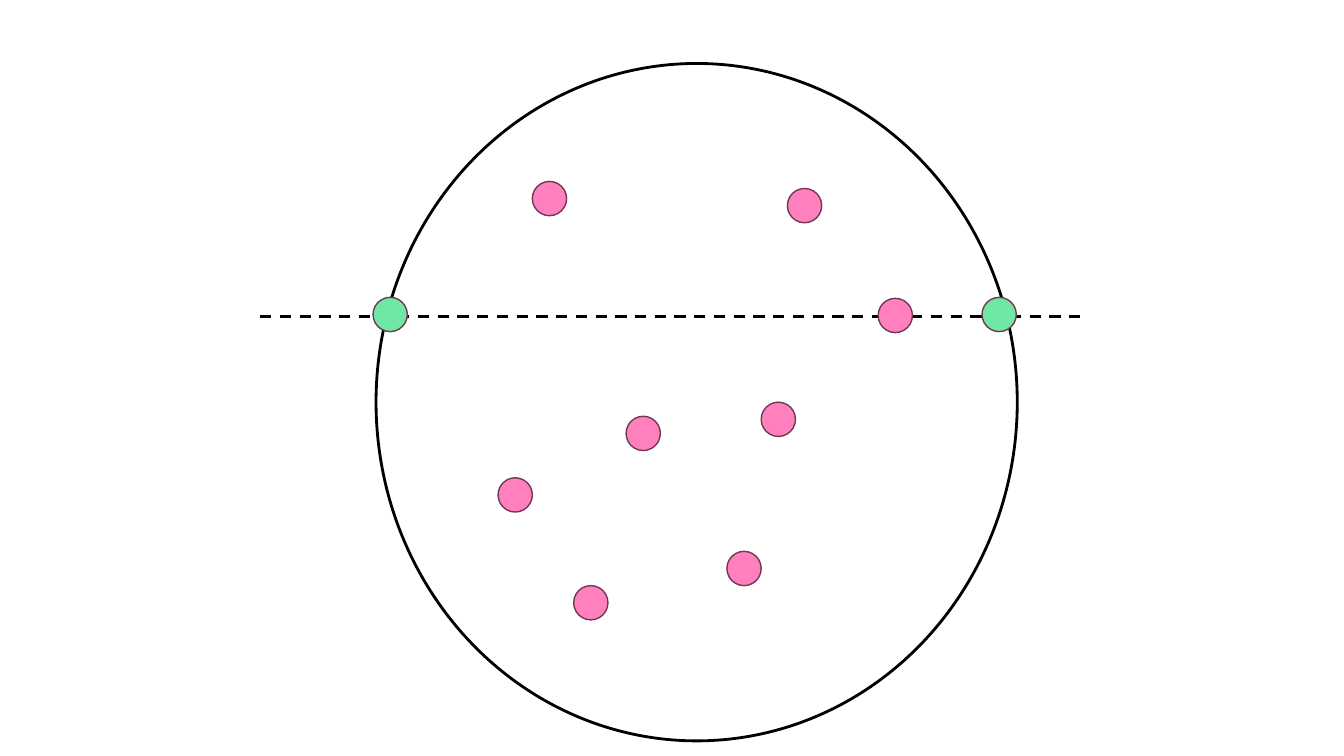
import dataclasses

import pptx
import pptx.dml.color
import pptx.enum.dml
import pptx.enum.shapes
import pptx.oxml
import pptx.oxml.ns
import pptx.util

Inches = pptx.util.Inches


@dataclasses.dataclass(frozen=True)
class Theme:
    """Colours, sizes and line formats of the slide."""

    ink: str = "000000"
    interior: str = "FF80BD"
    crossing: str = "6FE7A5"
    rim: str = "703853"
    point_size: float = 0.34
    bold_width: int = 2
    thin_width: int = 1


THEME = Theme()
INTERIOR_POINTS = [
    (1.55, 1.17), (4.08, 1.24), (4.98, 2.33), (3.82, 3.36),
    (2.48, 3.5), (1.21, 4.11), (3.48, 4.84), (1.96, 5.18),
]
CROSSING_POINTS = [(-0.03, 2.32), (6.01, 2.32)]


def rgb(code):
    """Return the colour for a hexadecimal code."""
    return pptx.dml.color.RGBColor.from_string(code)


def style_line(line, color, **formats):
    """Colour a line and apply its format values."""
    line.color.rgb = rgb(color)
    for attribute, setting in formats.items():
        setattr(line, attribute, setting)


def draw_chord(slide, left, top, length):
    """Draw the dashed line that cuts the circle."""
    chord = slide.shapes.add_connector(
        pptx.enum.shapes.MSO_CONNECTOR.STRAIGHT,
        Inches(left), Inches(top), Inches(left + length), Inches(top))
    style_line(chord.line, THEME.ink, width=pptx.util.Pt(THEME.bold_width),
               dash_style=pptx.enum.dml.MSO_LINE.DASH)
    properties = chord.element.find(pptx.oxml.ns.qn("p:spPr"))
    properties.append(pptx.oxml.parse_xml(
        f'<a:effectLst {pptx.oxml.ns.nsdecls("a")}/>'))


def draw_ellipse(slide, box, rim, width, fill=None):
    """Draw an ellipse in the box, hollow unless a fill is given."""
    ellipse = slide.shapes.add_shape(
        pptx.enum.shapes.MSO_SHAPE.OVAL, *map(Inches, box))
    ellipse.shadow.inherit = False
    if fill:
        ellipse.fill.solid()
        ellipse.fill.fore_color.rgb = rgb(fill)
    else:
        ellipse.fill.background()
    style_line(ellipse.line, rim, width=pptx.util.Pt(width))


def draw_points(slide, left, top, offsets, fill):
    """Draw equal points at offsets from the corner of the circle's box."""
    for across, down in offsets:
        box = (left + across, top + down, THEME.point_size, THEME.point_size)
        draw_ellipse(slide, box, THEME.rim, THEME.thin_width, fill)


def draw_enclosing_circle(slide, left, top, width, height):
    """Draw the chord, the circle and all points relative to the box."""
    draw_chord(slide, left - 1.15, top + 2.51, 8.17)
    draw_ellipse(slide, (left, top, width, height), THEME.ink, THEME.bold_width)
    draw_points(slide, left, top, INTERIOR_POINTS, THEME.interior)
    draw_points(slide, left, top, CROSSING_POINTS, THEME.crossing)


def main():
    """Build and save the presentation."""
    deck = pptx.Presentation()
    deck.slide_width = Inches(13.33)
    deck.slide_height = Inches(7.5)
    slide = deck.slides.add_slide(deck.slide_layouts[6])
    draw_enclosing_circle(slide, 3.73, 0.63, 6.36, 6.72)
    deck.save("out.pptx")


if __name__ == "__main__":
    main()
